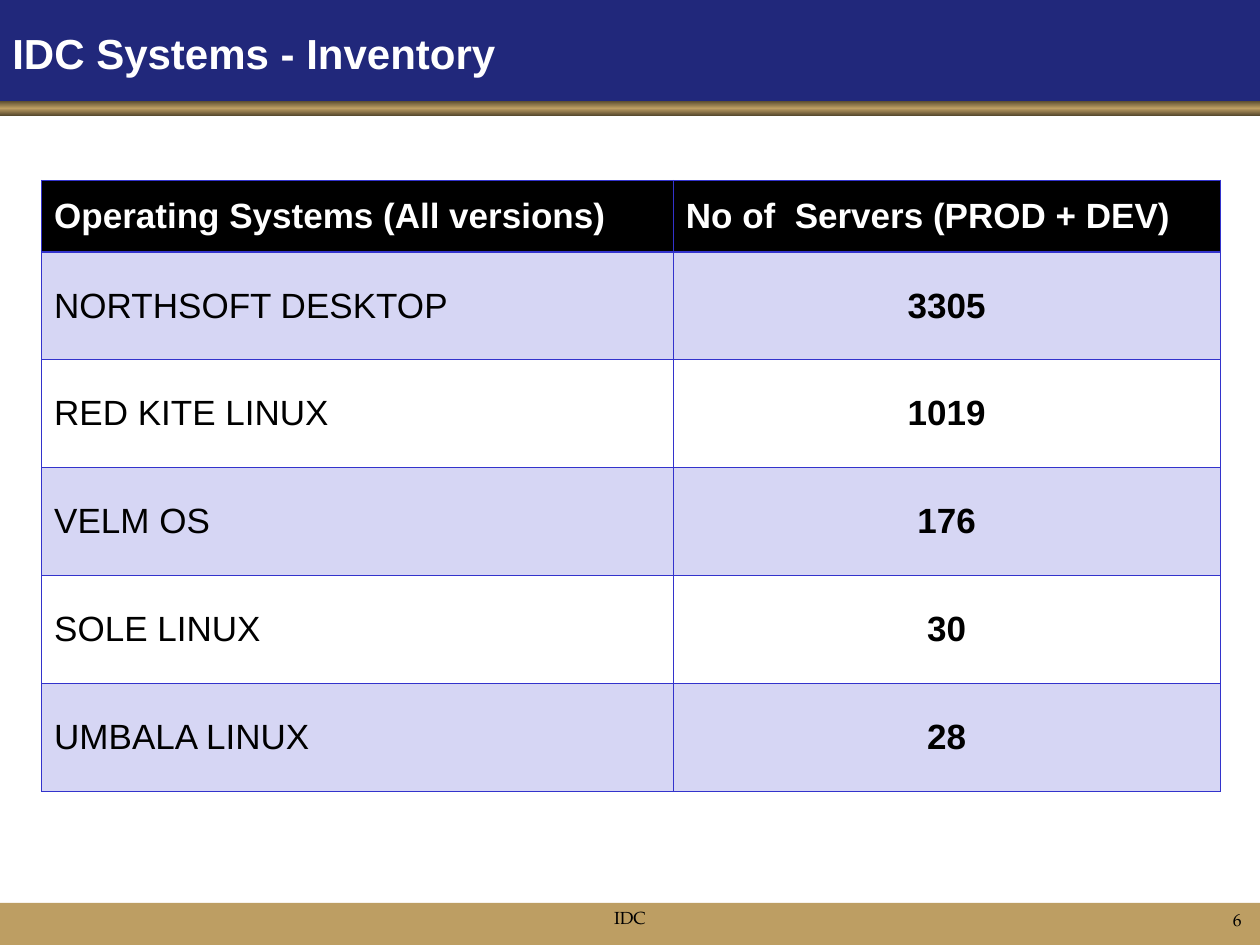
from copy import deepcopy
from lxml import etree
from pptx import Presentation
from pptx import util as u
from pptx.dml import color
from pptx.enum import shapes, text
from pptx.oxml import ns

Pt = u.Pt
LEFT, MID, RIGHT = text.PP_ALIGN.LEFT, text.PP_ALIGN.CENTER, text.PP_ALIGN.RIGHT


def rgb(code):
    return color.RGBColor.from_string(code)


def write(frame, words, align, look):
    par = frame.paragraphs[0]
    par.alignment = align
    run = par.add_run()
    run.text = words
    run.font.color.rgb = rgb(look["color"])
    for key in ("name", "size", "bold"):
        setattr(run.font, key, look[key])


deck = Presentation()
deck.slide_width, deck.slide_height = Pt(720), Pt(540)
slide = deck.slides.add_slide(deck.slide_layouts[6])

bars = [(0, 60, "21287B"), (516, 24, "BD9E63"), (57.6, 8.6, None)]
for top, high, code in bars:
    bar = slide.shapes.add_shape(
        shapes.MSO_SHAPE.RECTANGLE, 0, Pt(top), Pt(720), Pt(high))
    bar.shadow.inherit = False
    bar.line.fill.background()
    if code:
        bar.fill.solid()
        bar.fill.fore_color.rgb = rgb(code)
    else:
        bar.fill.gradient()
        bar.fill.gradient_angle = 90
        stops = bar.fill._fill._gradFill.gsLst
        stops.append(deepcopy(stops[0]))
        shades = [(0, "57492E"), (0.5, "BD9E63"), (1, "57492E")]
        for stop, (pos, shade) in zip(bar.fill.gradient_stops, shades):
            stop.position = pos
            stop.color.rgb = rgb(shade)

head = dict(name="Arial", size=Pt(24), bold=True, color="FFFFFF")
foot = dict(name="TeX Gyre Pagella", size=Pt(10), bold=False, color="000000")
top, mid = text.MSO_ANCHOR.TOP, text.MSO_ANCHOR.MIDDLE
labels = [
    ("IDC Systems - Inventory", (0, 6, 720, 48), LEFT, mid, head),
    ("IDC", (246, 515, 228, 25), MID, top, foot),
    ("6", (548.5, 516, 168, 24), RIGHT, top, foot),
]
for words, spot, align, anchor, look in labels:
    box = slide.shapes.add_textbox(*map(Pt, spot)).text_frame
    box.word_wrap = True
    box.vertical_anchor = anchor
    write(box, words, align, look)

rows = [
    ("Operating Systems (All versions)", "No of  Servers (PROD + DEV)"),
    ("NORTHSOFT DESKTOP", "3305"),
    ("RED KITE LINUX", "1019"),
    ("VELM OS", "176"),
    ("SOLE LINUX", "30"),
    ("UMBALA LINUX", "28"),
]
wides = (361, 312.5)
highs = [41] + [61.6] * 5
grid = slide.shapes.add_table(
    len(rows), 2, Pt(23.75), Pt(103), Pt(sum(wides)), Pt(sum(highs))).table
grid.horz_banding = False
for col, wide in zip(grid.columns, wides):
    col.width = Pt(wide)
for r, (row, high) in enumerate(zip(rows, highs)):
    grid.rows[r].height = Pt(high)
    for c, words in enumerate(row):
        cell = grid.cell(r, c)
        cell.vertical_anchor = mid
        look = dict(name="Arial", size=Pt(20), bold=r == 0 or c == 1,
                    color="000000" if r else "FFFFFF")
        write(cell.text_frame, words, MID if r and c else LEFT, look)
        if r and r % 2 == 0:
            cell.fill.background()
        else:
            cell.fill.solid()
            cell.fill.fore_color.rgb = rgb("3333CC" if r else "000000")
        props = cell._tc.get_or_add_tcPr()
        if r % 2:
            tint = props.find(".//" + ns.qn("a:srgbClr"))
            etree.SubElement(tint, ns.qn("a:alpha"), val="20000")
        for i, side in enumerate("LRTB"):
            thick = (r, side) in ((0, "B"), (1, "T"))
            edge = etree.Element(
                ns.qn("a:ln" + side), w=str(Pt(0.96 if thick else 0.45)))
            ink = etree.SubElement(edge, ns.qn("a:solidFill"))
            etree.SubElement(ink, ns.qn("a:srgbClr"), val="3333CC")
            props.insert(i, edge)

deck.save("out.pptx")
